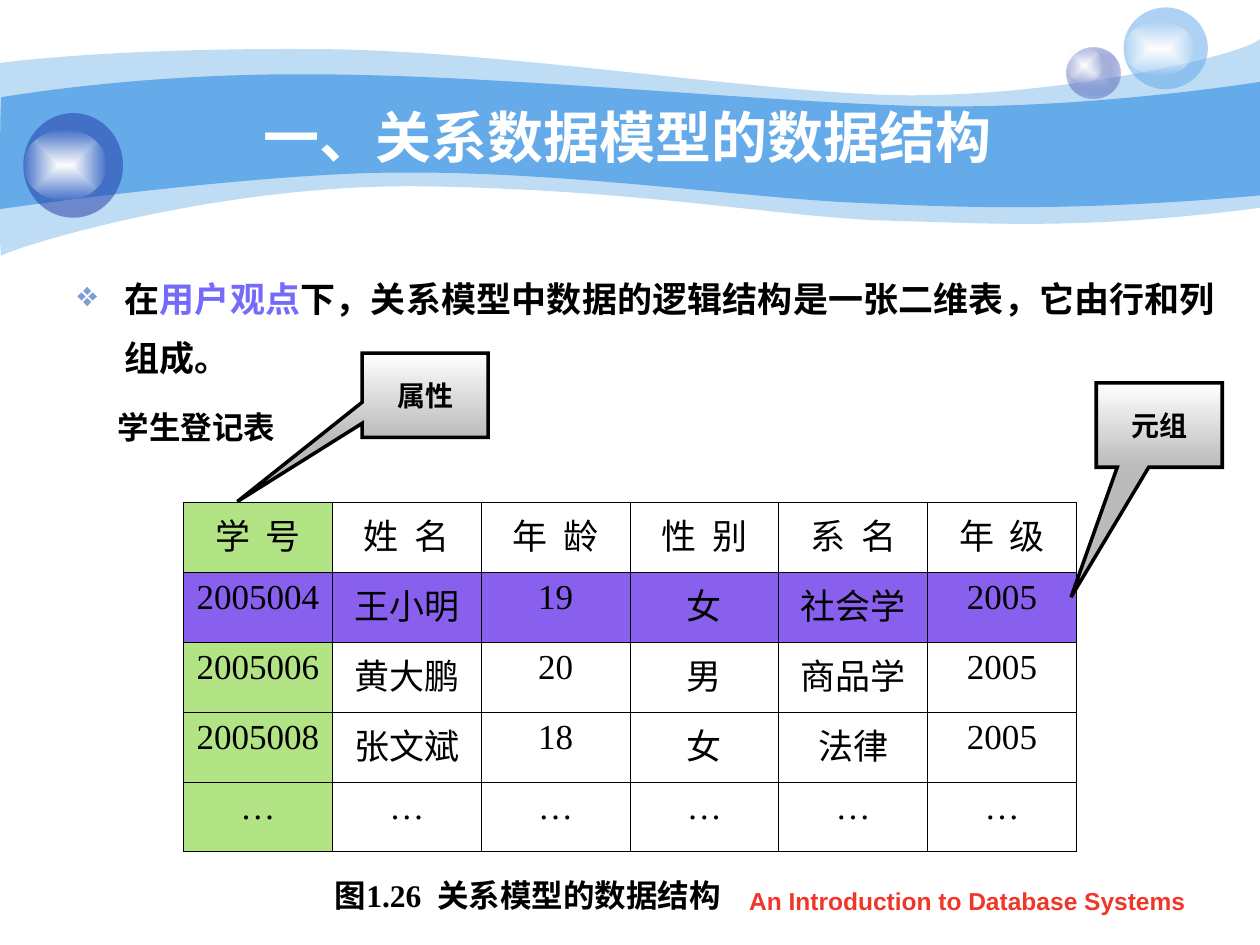
from dataclasses import dataclass

from lxml.etree import SubElement
from pptx import Presentation
from pptx.dml.color import RGBColor
from pptx.enum.shapes import MSO_SHAPE as Preset
from pptx.enum.text import MSO_ANCHOR as Anchor, PP_ALIGN as Align
from pptx.oxml.ns import qn
from pptx.util import Cm, Pt


@dataclass(frozen=True)
class Theme:
    sans: str = "Arial"
    serif: str = "Times New Roman"
    black: str = "000000"
    white: str = "FFFFFF"
    sky: str = "65AAE9"
    navy: str = "233DA9"
    mist: str = "C7CEE9"
    grey: str = "BBBBBB"
    bullet: str = "7DA0D3"
    accent: str = "746AFC"
    footer: str = "F03628"
    key_column: str = "B2E385"
    tuple_row: str = "8960EE"
    title_size: int = 32
    title_gap: int = 36
    body_size: int = 20
    label_size: int = 18
    callout_size: int = 16
    footer_size: int = 14


THEME = Theme()

# Wave edges in cm: a start point, then cubic segments of three points each
PALE_TOP = [(0, 1.27), (0.61, 1.19), (2.72, 0.97), (6.27, 0.99),
            (9.8, 0.99), (14.61, 1.78), (17.75, 1.91),
            (20.88, 2.03), (24.89, 1.19), (25.4, 0.79)]
PALE_BOTTOM = [(25.4, 4.19), (21.79, 4.65), (19.99, 4.5), (17.91, 4.45),
               (15.8, 4.39), (13.08, 3.84), (8.71, 3.76),
               (4.37, 3.66), (0.1, 5.05), (0.03, 5.16),
               (-0.03, 5.28), (0, 1.9), (0, 1.27)]
BLUE_TOP = [(0.03, 1.96), (0.05, 1.96), (2.79, 1.47), (6.3, 1.5),
            (9.8, 1.5), (15.11, 2.03), (18.24, 2.13),
            (21.36, 2.24), (24.79, 1.75), (25.4, 1.65)]
BLUE_BOTTOM = [(25.4, 3.94), (21.67, 4.27), (19.43, 4.19), (17.32, 4.09),
               (15.21, 4.01), (11.35, 3.45), (8.05, 3.48),
               (5.16, 3.48), (-0.05, 4.22), (-0.03, 4.22),
               (0, 4.22), (0, 1.96), (0.03, 1.96)]

STUDENTS = [
    ["学  号", "姓  名", "年  龄", "性  别", "系  名", "年  级"],
    ["2005004", "王小明", "19", "女", "社会学", "2005"],
    ["2005006", "黄大鹏", "20", "男", "商品学", "2005"],
    ["2005008", "张文斌", "18", "女", "法律", "2005"],
    ["…"] * 6,
]


def rgb(color):
    return RGBColor.from_string(color)


def set_alpha(color_element, percent):
    SubElement(color_element, qn("a:alpha"), val=str(percent * 1000))


def fill_solid(shape, color, alpha=100):
    shape.fill.solid()
    shape.fill.fore_color.rgb = rgb(color)
    if alpha < 100:
        set_alpha(shape._element.spPr.find(".//" + qn("a:srgbClr")), alpha)


def fill_gradient(shape, start, end):
    shape.fill.gradient()
    for stop, color, position in zip(shape.fill.gradient_stops, (start, end), (0, 1)):
        stop.color.rgb = rgb(color)
        stop.position = position


def fill_radial(shape, center, edge, edge_alpha):
    fill_gradient(shape, center, edge)
    gradient = shape._element.spPr.find(qn("a:gradFill"))
    set_alpha(gradient.findall(".//" + qn("a:srgbClr"))[1], edge_alpha)
    gradient.remove(gradient.find(qn("a:lin")))
    focus = SubElement(gradient, qn("a:path"), path="rect")
    SubElement(focus, qn("a:fillToRect"), l="50000", t="50000", r="50000", b="50000")


def bend(segments):
    """Turn each three straight segments into one cubic curve."""
    for i in range(0, len(segments), 3):
        first, *others = segments[i:i + 3]
        curve = first.makeelement(qn("a:cubicBezTo"))
        first.addprevious(curve)
        for segment in (first, *others):
            curve.append(segment.find(qn("a:pt")))
            segment.getparent().remove(segment)


def add_wave(page, top, bottom, alpha=100):
    points = [(Cm(x), Cm(y)) for x, y in top + bottom]
    builder = page.shapes.build_freeform(*points[0])
    builder.add_line_segments(points[1:], close=True)
    wave = builder.convert_to_shape()
    segments = wave._element.spPr.findall(".//" + qn("a:lnTo"))
    bend(segments[:len(top) - 1])
    bend(segments[len(top):])
    wave.shadow.inherit = False
    wave.line.fill.background()
    fill_solid(wave, THEME.sky, alpha)


def add_ball(page, left, top, width, height):
    ball = page.shapes.add_shape(Preset.OVAL, Cm(left), Cm(top), Cm(width), Cm(height))
    ball.shadow.inherit = False
    ball.line.fill.background()
    return ball


def add_shine(page, left, top, width, height):
    fill_radial(add_ball(page, left, top, width, height), THEME.white, THEME.white, 0)


def style_span(span, size, color, font, bold=True):
    span.font.size = Pt(size)
    span.font.color.rgb = rgb(color)
    span.font.name = font
    span.font.bold = bold


def add_text(page, area, text, size, color, font, align=Align.CENTER, anchor=Anchor.TOP):
    box = page.shapes.add_textbox(*map(Cm, area))
    frame = box.text_frame
    frame.word_wrap = True
    frame.vertical_anchor = anchor
    frame.text = text
    para = frame.paragraphs[0]
    para.alignment = align
    style_span(para.runs[0], size, color, font)
    return para


def add_span(para, text, size, color):
    span = para.add_run()
    span.text = text
    style_span(span, size, color, THEME.sans)


def set_bullet(para, char, color, indent):
    properties = para._p.get_or_add_pPr()
    properties.set("marL", str(indent))
    properties.set("indent", str(-indent))
    SubElement(SubElement(properties, qn("a:buClr")), qn("a:srgbClr"), val=color)
    SubElement(properties, qn("a:buChar"), char=char)


def add_callout(page, left, top, text, tip):
    callout = page.shapes.add_shape(Preset.RECTANGULAR_CALLOUT,
                                    Cm(left), Cm(top), Cm(2.54), Cm(1.7))
    callout.shadow.inherit = False
    callout.adjustments[0], callout.adjustments[1] = tip
    fill_gradient(callout, THEME.white, THEME.grey)
    callout.fill.gradient_angle = 270
    callout.line.color.rgb = rgb(THEME.black)
    callout.line.width = Pt(2)
    SubElement(callout._element.spPr.find(qn("a:ln")), qn("a:miter"), lim="800000")
    frame = callout.text_frame
    frame.vertical_anchor = Anchor.MIDDLE
    frame.text = text
    frame.paragraphs[0].alignment = Align.CENTER
    style_span(frame.paragraphs[0].runs[0], THEME.callout_size, THEME.black, THEME.serif)


def set_borders(cell):
    properties = cell._tc.get_or_add_tcPr()
    for side in ("lnL", "lnR", "lnT", "lnB"):
        line = SubElement(properties, qn("a:" + side), w=str(Pt(0.45)))
        SubElement(SubElement(line, qn("a:solidFill")), qn("a:srgbClr"), val=THEME.black)


def add_student_table(page):
    table = page.shapes.add_table(len(STUDENTS), len(STUDENTS[0]), Cm(3.7), Cm(10.13),
                                  Cm(18), Cm(7.04)).table
    table.first_row = table.horz_banding = False
    for r, values in enumerate(STUDENTS):
        for c, value in enumerate(values):
            cell = table.cell(r, c)
            set_borders(cell)
            if r == 1 or c == 0:
                cell.fill.solid()
                cell.fill.fore_color.rgb = rgb(THEME.tuple_row if r == 1 else THEME.key_column)
            else:
                cell.fill.background()
            cell.text_frame.text = value
            para = cell.text_frame.paragraphs[0]
            para.alignment = Align.CENTER
            style_span(para.runs[0], THEME.body_size, THEME.black, THEME.serif, bold=False)


def main():
    deck = Presentation()
    deck.slide_width, deck.slide_height = Cm(25.4), Cm(19.05)
    page = deck.slides.add_slide(deck.slide_layouts[6])

    # Banner waves and glass balls
    add_wave(page, PALE_TOP, PALE_BOTTOM, alpha=41)
    add_wave(page, BLUE_TOP, BLUE_BOTTOM)
    fill_radial(add_ball(page, 21.51, 0.97, 1.07, 1.02), THEME.mist, THEME.navy, 31)
    add_shine(page, 21.51, 0.97, 0.71, 0.69)
    fill_solid(add_ball(page, 22.65, 0.15, 1.7, 1.65), THEME.sky, 53)
    add_shine(page, 22.65, 0.43, 1.42, 1.09)
    fill_solid(add_ball(page, 0.47, 2.28, 2.01, 2.11), THEME.navy, 53)
    add_shine(page, 0.47, 2.62, 1.68, 1.42)

    # Footer and title
    add_text(page, (14.5, 17.73, 10.01, 0.89), "An Introduction to Database Systems",
             THEME.footer_size, THEME.footer, THEME.sans)
    title = add_text(page, (2.54, 1.91, 20.52, 1.57), "一、关系数据模型的数据结构",
                     THEME.title_size, THEME.white, THEME.sans, anchor=Anchor.MIDDLE)
    add_span(title, " ", THEME.title_gap, THEME.white)

    # Statement
    body = add_text(page, (1.31, 5.13, 23.44, 2.79), "在", THEME.body_size, THEME.black,
                    THEME.sans, Align.JUSTIFY)
    body.line_spacing = 1.4
    set_bullet(body, "❖", THEME.bullet, Cm(0.95))
    add_span(body, "用户观点", THEME.body_size, THEME.accent)
    add_span(body, "下，关系模型中数据的逻辑结构是一张二维表，它由行和列组成。",
             THEME.body_size, THEME.black)

    # Table with its labels
    add_student_table(page)
    add_text(page, (1.17, 8.1, 5.59, 1.02), "学生登记表",
             THEME.label_size, THEME.black, THEME.serif)
    add_callout(page, 7.3, 7.12, "属性", (-1.49, 1.26))
    add_callout(page, 22.1, 7.72, "元组", (-0.7, 2.04))
    add_text(page, (6.5, 17.53, 10.39, 1.02), "图1.26  关系模型的数据结构",
             THEME.label_size, THEME.black, THEME.serif, Align.LEFT, Anchor.MIDDLE)

    deck.save("out.pptx")


if __name__ == "__main__":
    main()
